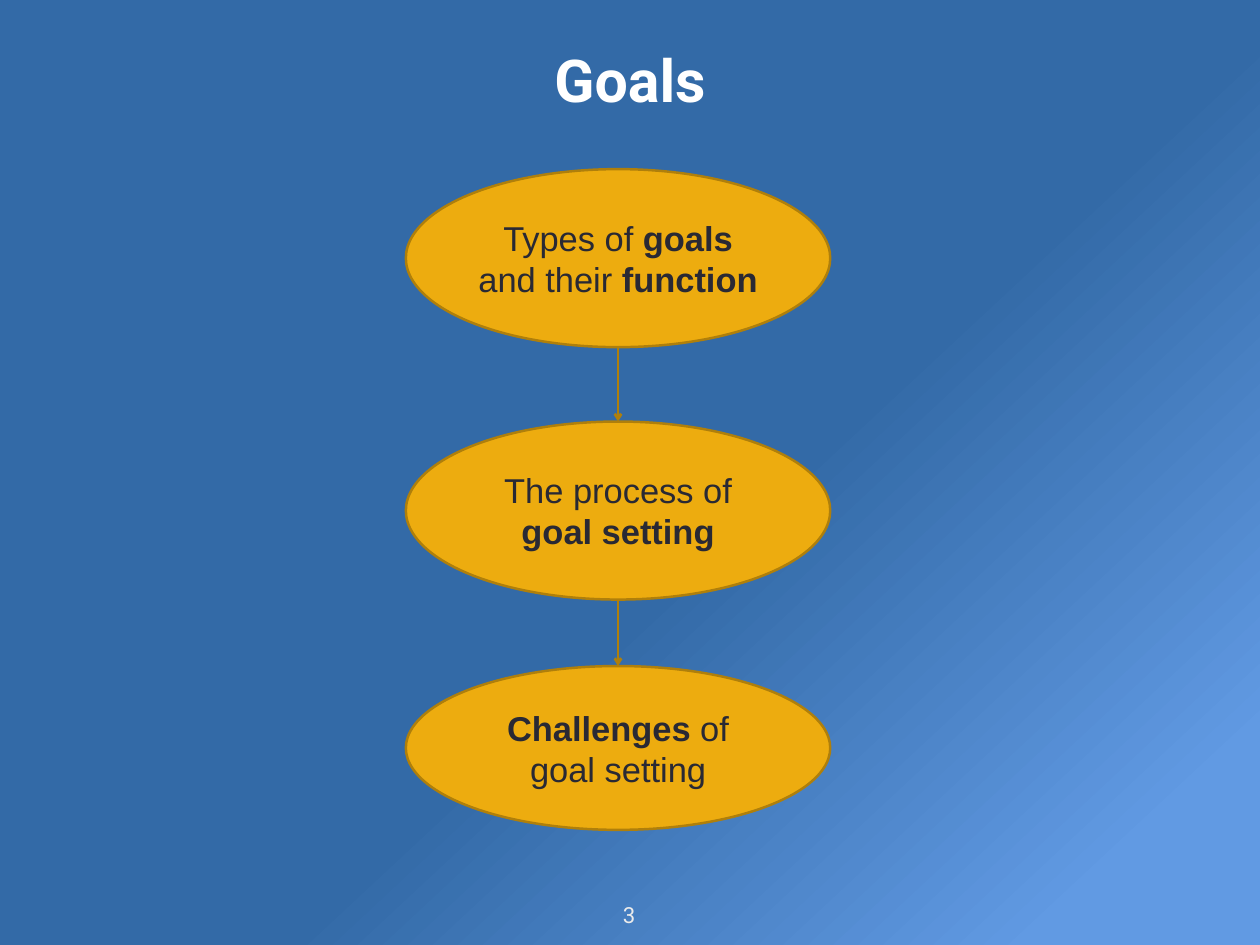
from lxml import etree
from pptx import Presentation
from pptx.dml.color import RGBColor
from pptx.enum.shapes import MSO_CONNECTOR, MSO_SHAPE
from pptx.enum.text import MSO_ANCHOR, PP_ALIGN
from pptx.oxml.ns import qn
from pptx.util import Inches, Pt

STRAIGHT = MSO_CONNECTOR.STRAIGHT
OVAL = MSO_SHAPE.OVAL
MIDDLE = MSO_ANCHOR.MIDDLE
CENTER = PP_ALIGN.CENTER

WIDTH, HEIGHT = Inches(14.22), Inches(10.67)
INSET = Inches(0.06)
GOLD, DARK_GOLD, INK = "EDAC0F", "AF7F0B", "292934"
TOP_SITE = 0

# Left and width of every step, in percent of the slide's width
STEP_LEFT, STEP_WIDTH = 32.21, 33.68

# Top and height in percent of the slide's height, then (text, bold) spans
STEPS = [
    (17.9, 18.84, [("Types of ", False), ("goals", True),
                   (" and their ", False), ("function", True)]),
    (44.61, 18.84, [("The process of ", False), ("goal setting", True)]),
    (70.48, 17.34, [("Challenges", True), (" of goal setting", False)]),
]


def color(value):
    return RGBColor.from_string(value)


def area(left, top, width, height):
    """Turn percentages of the slide into lengths."""
    return (round(WIDTH * left / 100), round(HEIGHT * top / 100),
            round(WIDTH * width / 100), round(HEIGHT * height / 100))


def style_paragraph(para, size, font_name, font_color):
    para.alignment = CENTER
    para.font.size = Pt(size)
    para.font.name = font_name
    para.font.color.rgb = color(font_color)


def paint_background(page):
    fill = page.background.fill
    fill.gradient()
    fill.gradient_angle = 313
    stops = [(0.57, "336AA7"), (0.9, "619AE3")]
    for stop, (position, value) in zip(fill.gradient_stops, stops):
        stop.position = position
        stop.color.rgb = color(value)


def add_label(page, place, text, size, font_color, bold=False, wrap=True):
    frame = page.shapes.add_textbox(*area(*place)).text_frame
    frame.word_wrap = wrap
    frame.vertical_anchor = MIDDLE
    frame.margin_left = frame.margin_right = INSET
    frame.margin_top = frame.margin_bottom = INSET
    para = frame.paragraphs[0]
    para.text = text
    style_paragraph(para, size, "Roboto", font_color)
    para.font.bold = bold


def add_step(page, top, height, spans):
    step = page.shapes.add_shape(
        OVAL, *area(STEP_LEFT, top, STEP_WIDTH, height))
    step.shadow.inherit = False
    step.fill.solid()
    step.fill.fore_color.rgb = color(GOLD)
    step.line.color.rgb = color(DARK_GOLD)
    step.line.width = Pt(2)
    frame = step.text_frame
    frame.word_wrap = True
    frame.vertical_anchor = MIDDLE
    para = frame.paragraphs[0]
    style_paragraph(para, 28, "Arial", INK)
    for text, bold in spans:
        span = para.add_run()
        span.text = text
        span.font.bold = bold
    return step


def add_arrow(page, upper, lower):
    middle = upper.left + upper.width // 2
    arrow = page.shapes.add_connector(
        STRAIGHT, middle, upper.top + upper.height, middle, lower.top)
    arrow.end_connect(lower, TOP_SITE)
    arrow.line.color.rgb = color(DARK_GOLD)
    arrow.line.width = Pt(2)
    properties = arrow.line._get_or_add_ln()
    etree.SubElement(properties, qn("a:tailEnd"), type="arrow")
    etree.SubElement(arrow._element.spPr, qn("a:effectLst"))


def main():
    deck = Presentation()
    deck.slide_width, deck.slide_height = WIDTH, HEIGHT
    page = deck.slides.add_slide(deck.slide_layouts[6])
    paint_background(page)

    # Title and page number
    add_label(page, (5.84, 1.31, 88.33, 14.06), "Goals", 48, "FFFFFF",
              bold=True)
    add_label(page, (49.02, 94.85, 1.83, 3.84), "3", 18, "EBEBEB", wrap=False)

    # Chain of steps
    steps = [add_step(page, *step) for step in STEPS]
    for upper, lower in zip(steps, steps[1:]):
        add_arrow(page, upper, lower)

    deck.save("out.pptx")


if __name__ == "__main__":
    main()
